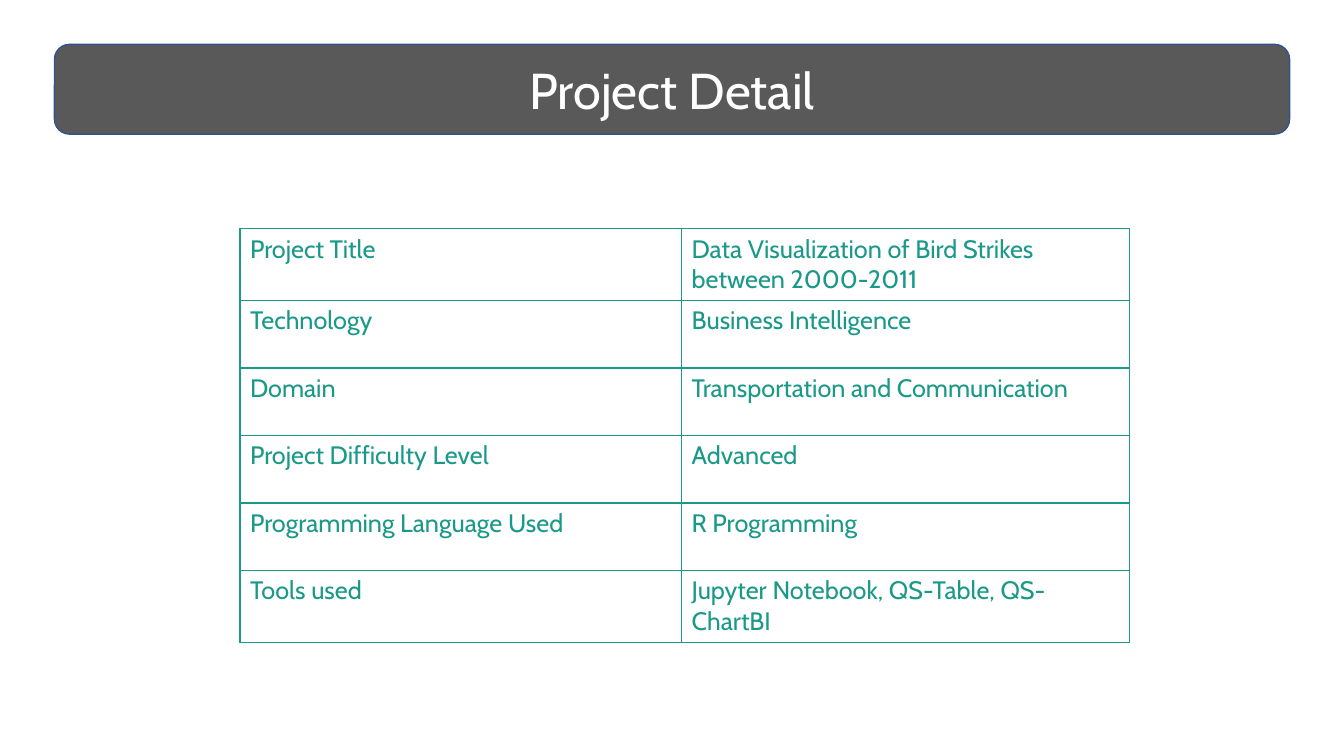
from pptx import Presentation
from pptx.dml.color import RGBColor
from pptx.enum.shapes import MSO_SHAPE
from pptx.enum.text import MSO_ANCHOR, MSO_AUTO_SIZE, PP_ALIGN
from pptx.oxml import parse_xml
from pptx.oxml.ns import nsdecls
from pptx.util import Inches, Pt

FONT = "Cabin"
GREY = RGBColor(0x59, 0x59, 0x59)
NAVY = RGBColor(0x31, 0x53, 0x8F)
TEAL = RGBColor(0x1A, 0x99, 0x88)
WHITE = RGBColor(0xFF, 0xFF, 0xFF)

DETAILS = [
    ("Project Title", "Data Visualization of Bird Strikes between 2000-2011"),
    ("Technology", "Business Intelligence"),
    ("Domain", "Transportation and Communication"),
    ("Project Difficulty Level", "Advanced"),
    ("Programming Language Used", "R Programming"),
    ("Tools used", "Jupyter Notebook, QS-Table, QS-ChartBI"),
]


def style_text(paragraph, size, color):
    for span in paragraph.runs:
        span.font.name = FONT
        span.font.size = Pt(size)
        span.font.color.rgb = color


def add_borders(cell, color, width):
    properties = cell._tc.get_or_add_tcPr()
    for side in ("lnL", "lnR", "lnT", "lnB"):
        properties.append(parse_xml(
            f'<a:{side} {nsdecls("a")} w="{Pt(width)}"><a:solidFill>'
            f'<a:srgbClr val="{color}"/></a:solidFill></a:{side}>'))


deck = Presentation()
deck.slide_width = Inches(13.33)
deck.slide_height = Inches(7.5)
page = deck.slides.add_slide(deck.slide_layouts[5])

# Title banner, placed behind the title text
banner_area = [Inches(value) for value in (0.54, 0.44, 12.25, 0.89)]
banner = page.shapes.add_shape(MSO_SHAPE.ROUNDED_RECTANGLE, *banner_area)
banner.shadow.inherit = False
banner.fill.solid()
banner.fill.fore_color.rgb = GREY
banner.line.color.rgb = NAVY
banner.line.width = Pt(1)

# Title
title = page.shapes.title
banner._element.addnext(title._element)
title.left, title.top, title.width, title.height = banner_area
title.text_frame.text = "Project Detail"
title.text_frame.auto_size = MSO_AUTO_SIZE.NONE
title.text_frame.vertical_anchor = MSO_ANCHOR.MIDDLE
title.text_frame.paragraphs[0].alignment = PP_ALIGN.CENTER
style_text(title.text_frame.paragraphs[0], 36, WHITE)

# Table of project details
table = page.shapes.add_table(
    len(DETAILS), 2, Inches(2.38), Inches(2.27), Inches(8.82), Inches(3.83)).table
table.first_row = False
table.horz_banding = False
table.columns[0].width = Inches(4.38)
table.columns[1].width = Inches(4.44)

for index, detail in enumerate(DETAILS):
    table.rows[index].height = Inches(0.67 if index else 0.48)
    for column, text in enumerate(detail):
        cell = table.cell(index, column)
        cell.text_frame.text = text
        style_text(cell.text_frame.paragraphs[0], 18, TEAL)
        add_borders(cell, TEAL, 1)
        cell.fill.background()

deck.save("out.pptx")
